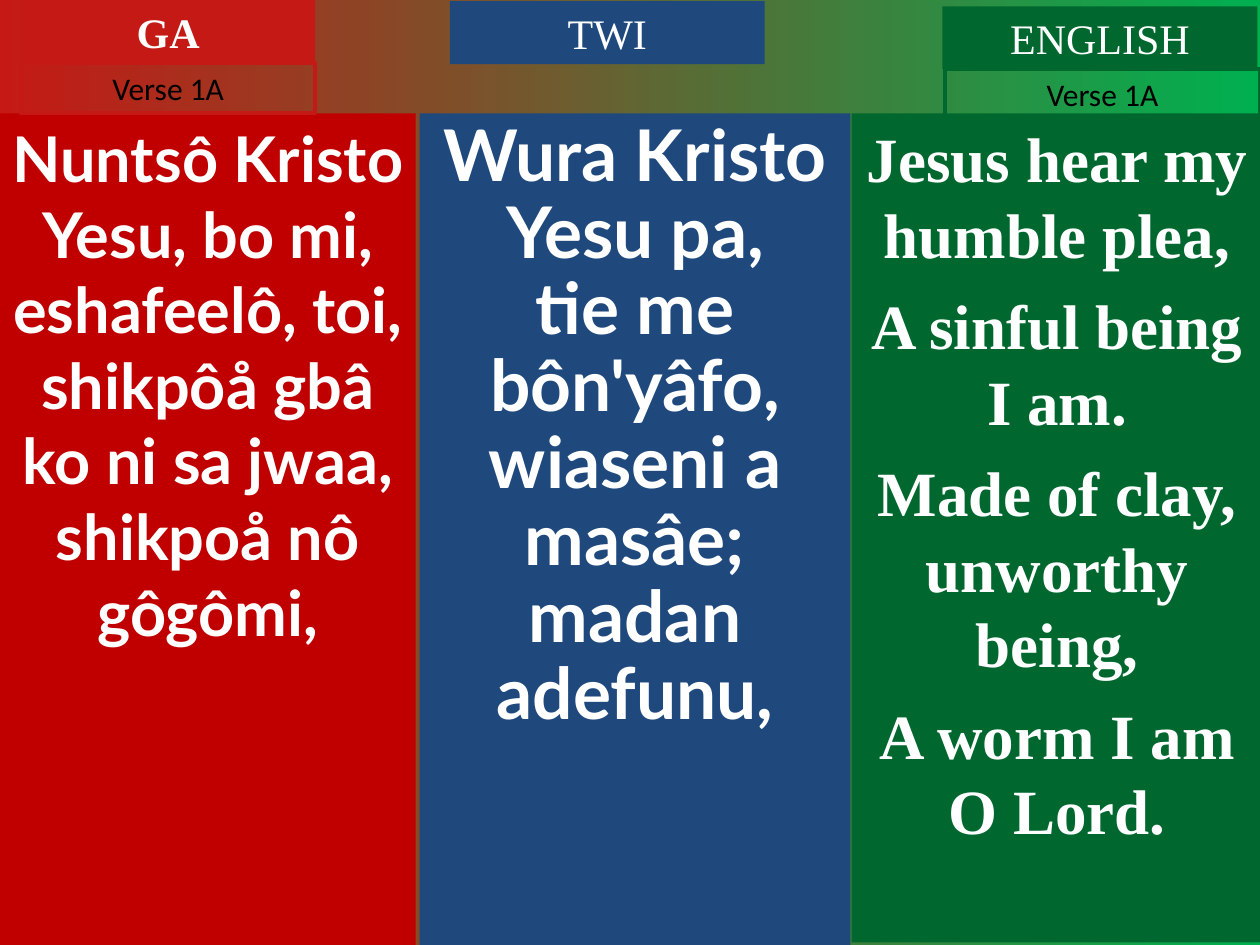
from pptx import Presentation
from pptx.dml.color import RGBColor
from pptx.enum.shapes import MSO_SHAPE
from pptx.enum.text import MSO_ANCHOR, PP_ALIGN
from pptx.util import Inches, Pt

RECTANGLE = MSO_SHAPE.RECTANGLE
TOP = MSO_ANCHOR.TOP
CENTER = PP_ALIGN.CENTER

COLORS = {
    "red": "C51915", "dark red": "C00000", "blue": "1F497D",
    "green": "00682F", "light green": "00B050",
    "white": "FFFFFF", "black": "000000",
}
SERIF = "Times New Roman"
TITLE = {"font": SERIF, "size": 24}
VERSE_LABEL = {"font": "Calibri", "size": 18, "color": "black"}

GA_LYRICS = [
    "Nuntsô Kristo Yesu, bo mi, eshafeelô, toi,",
    "shikpôå gbâ ko ni sa jwaa,",
    "shikpoå nô gôgômi,",
]
TWI_LYRICS = [
    "Wura Kristo Yesu pa,",
    "tie me bôn'yâfo,",
    "wiaseni a masâe;",
    "madan adefunu,",
]
ENGLISH_LYRICS = [
    "Jesus hear my humble plea,",
    "A sinful being I am.",
    "Made of clay, unworthy being,",
    "A worm I am O Lord.",
]

BOXES = [
    ((0, 0.9, 3.3, 6.6), "dark red", None, GA_LYRICS,
     {"font": "Lato", "size": 36, "bold": True}),
    ((3.33, 0.9, 3.42, 6.6), "blue", None, TWI_LYRICS,
     {"font": "Lato", "size": 40.7, "bold": True, "spacing": 0.9}),
    ((0.17, 0, 2.33, 0.5), "red", None, ["GA"], {**TITLE, "bold": True}),
    ((3.57, 0.01, 2.5, 0.5), "blue", None, ["TWI"], TITLE),
    ((0.17, 0.5, 2.33, 0.4), None, "red", ["Verse 1A"], VERSE_LABEL),
    ((6.76, 0.9, 3.26, 6.58), "green", None, ENGLISH_LYRICS,
     {"font": SERIF, "size": 36, "bold": True, "spacing": Pt(43.2), "before": 9}),
    ((7.48, 0.05, 2.5, 0.5), "green", None, ["ENGLISH"], TITLE),
    ((7.5, 0.55, 2.5, 0.4), None, "green", ["Verse 1A"], VERSE_LABEL),
]


def rgb(name):
    return RGBColor.from_string(COLORS[name])


def write_lines(frame, lines, style):
    frame.word_wrap = True
    frame.vertical_anchor = TOP
    for index, line in enumerate(lines):
        paragraph = frame.add_paragraph() if index else frame.paragraphs[0]
        paragraph.alignment = CENTER
        paragraph.line_spacing = style.get("spacing", 1.0)
        paragraph.space_before = Pt(style.get("before", 0) if index else 0)
        run = paragraph.add_run()
        run.text = line
        run.font.name = style["font"]
        run.font.size = Pt(style["size"])
        run.font.bold = style.get("bold", False)
        run.font.color.rgb = rgb(style.get("color", "white"))


def add_box(slide, place, fill, outline, lines, style):
    shape = slide.shapes.add_shape(RECTANGLE, *map(Inches, place))
    shape.shadow.inherit = False
    if fill:
        shape.fill.solid()
        shape.fill.fore_color.rgb = rgb(fill)
    else:
        shape.fill.background()
    if outline:
        shape.line.color.rgb = rgb(outline)
        shape.line.width = Pt(2.25)
    else:
        shape.line.fill.background()
    write_lines(shape.text_frame, lines, style)


def paint_background(slide):
    fill = slide.background.fill
    fill.gradient()
    fill.gradient_angle = 0
    for stop, position, color in zip(fill.gradient_stops, (0, 1), ("red", "light green")):
        stop.position = position
        stop.color.rgb = rgb(color)


def main():
    presentation = Presentation()
    presentation.slide_width = Inches(10)
    presentation.slide_height = Inches(7.5)
    slide = presentation.slides.add_slide(presentation.slide_layouts[6])
    paint_background(slide)
    for box in BOXES:
        add_box(slide, *box)
    presentation.save("out.pptx")


if __name__ == "__main__":
    main()
